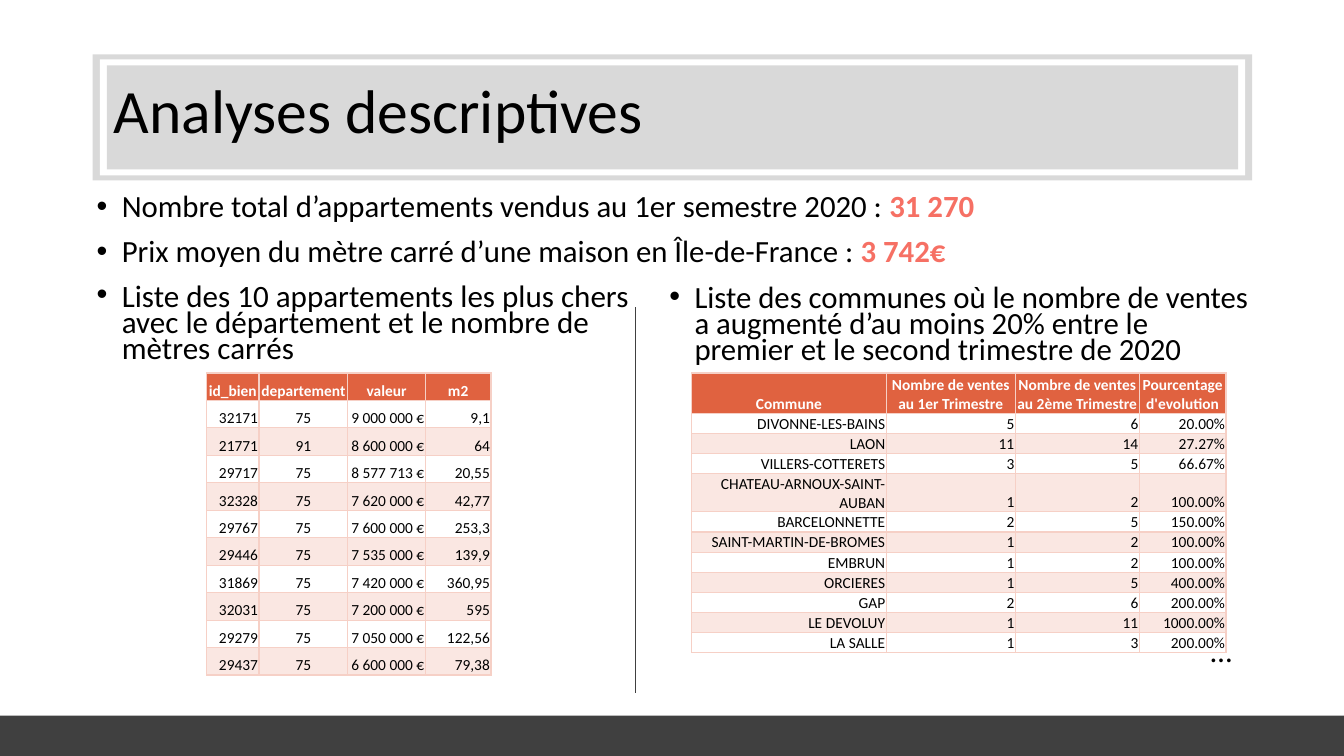
from dataclasses import dataclass

from lxml import etree
from pptx import Presentation
from pptx import util as u
from pptx.dml import color
from pptx.enum import shapes, text
from pptx.oxml import ns


@dataclass(frozen=True)
class Theme:
    font: str = "Calibri"
    ink: str = "000000"
    white: str = "FFFFFF"
    frame: str = "D9D9D9"
    dark: str = "404040"
    accent: str = "F67064"
    header: str = "E06240"
    band: str = "FAE7E2"
    grid: str = "F6D0C6"
    title_size: float = 44
    body_size: float = 22
    table_size: float = 11


THEME = Theme()
ALIGN = {"r": text.PP_ALIGN.RIGHT, "c": text.PP_ALIGN.CENTER}

TOP_SALES = [
    ("32171", "75", 9000000, "9,1"),
    ("21771", "91", 8600000, "64"),
    ("29717", "75", 8577713, "20,55"),
    ("32328", "75", 7620000, "42,77"),
    ("29767", "75", 7600000, "253,3"),
    ("29446", "75", 7535000, "139,9"),
    ("31869", "75", 7420000, "360,95"),
    ("32031", "75", 7200000, "595"),
    ("29279", "75", 7050000, "122,56"),
    ("29437", "75", 6600000, "79,38"),
]
TOWNS = [
    ("DIVONNE-LES-BAINS", "5", "6", "20.00%"),
    ("LAON", "11", "14", "27.27%"),
    ("VILLERS-COTTERETS", "3", "5", "66.67%"),
    ("CHATEAU-ARNOUX-SAINT-AUBAN", "1", "2", "100.00%"),
    ("BARCELONNETTE", "2", "5", "150.00%"),
    ("SAINT-MARTIN-DE-BROMES", "1", "2", "100.00%"),
    ("EMBRUN", "1", "2", "100.00%"),
    ("ORCIERES", "1", "5", "400.00%"),
    ("GAP", "2", "6", "200.00%"),
    ("LE DEVOLUY", "1", "11", "1000.00%"),
    ("LA SALLE", "1", "3", "200.00%"),
]


def rgb(value):
    return color.RGBColor.from_string(value)


def inches(*lengths):
    return [u.Inches(length) for length in lengths]


def euros(amount):
    return f"{amount:,} €".replace(",", " ")


def set_font(font, size, ink=THEME.ink, bold=False):
    font.name, font.size, font.bold = THEME.font, u.Pt(size), bold
    font.color.rgb = rgb(ink)


def add_panel(page, box, fill):
    panel = page.shapes.add_shape(shapes.MSO_SHAPE.RECTANGLE, *inches(*box))
    panel.shadow.inherit = False
    panel.fill.solid()
    panel.fill.fore_color.rgb = rgb(fill)
    panel.line.fill.background()


def add_text(page, box, words, size=THEME.body_size, leading=0.9, before=10):
    frame = page.shapes.add_textbox(*inches(*box)).text_frame
    frame.word_wrap = True
    para = frame.paragraphs[0]
    para.line_spacing, para.space_before = leading, u.Pt(before)
    set_font(para.font, size)
    para.add_run().text = words
    return frame


def add_bullet(page, box, words, figure="", size=THEME.body_size, leading=0.9):
    para = add_text(page, box, words, size, leading).paragraphs[0]
    if figure:
        span = para.add_run()
        span.text = figure
        set_font(span.font, size, THEME.accent, True)
    props = para._p.get_or_add_pPr()
    props.set("marL", str(u.Inches(0.25)))
    props.set("indent", str(u.Inches(-0.25)))
    bullet_font = etree.Element(ns.qn("a:buFont"), typeface="Arial")
    bullet = etree.Element(ns.qn("a:buChar"), char="•")
    defaults = props.find(ns.qn("a:defRPr"))
    defaults.addprevious(bullet_font)
    defaults.addprevious(bullet)


def add_title(page, box, words):
    left, top, width, height = box
    for dx, dy, fill in [(0, 0, THEME.frame), (0.07, 0.05, THEME.white), (0.14, 0.11, THEME.frame)]:
        add_panel(page, (left + dx, top + dy, width - 2 * dx, height - 2 * dy), fill)
    title_box = (left + 0.11, top - 0.14, width - 0.11, height + 0.2)
    frame = add_text(page, title_box, words, THEME.title_size, before=0)
    frame.vertical_anchor = text.MSO_ANCHOR.MIDDLE


def add_divider(page, x, top, bottom):
    line = page.shapes.add_connector(shapes.MSO_CONNECTOR.STRAIGHT, *inches(x, top, x, bottom))
    line.line.color.rgb = rgb(THEME.dark)
    line.line.width = u.Pt(1)
    etree.SubElement(line._element.spPr, ns.qn("a:effectLst"))


def add_borders(cell):
    props = cell._tc.get_or_add_tcPr()
    for position, side in enumerate(("a:lnL", "a:lnR", "a:lnT", "a:lnB")):
        edge = etree.Element(ns.qn(side), w=str(u.Pt(1)))
        fill = etree.SubElement(edge, ns.qn("a:solidFill"))
        etree.SubElement(fill, ns.qn("a:srgbClr"), val=THEME.grid)
        props.insert(position, edge)


def fill_cell(cell, words, align, fill, header):
    cell.margin_left = cell.margin_right = cell.margin_top = u.Inches(0.01)
    cell.margin_bottom = 0
    cell.vertical_anchor = text.MSO_ANCHOR.BOTTOM
    if fill:
        cell.fill.solid()
        cell.fill.fore_color.rgb = rgb(fill)
    else:
        cell.fill.background()
    add_borders(cell)
    para = cell.text_frame.paragraphs[0]
    para.alignment = ALIGN[align]
    set_font(para.font, THEME.table_size, THEME.white if header else THEME.ink, header)
    para.add_run().text = words


def add_grid(page, left, top, widths, header_height, row_height, aligns, headings, records):
    rows = [headings, *records]
    height = header_height + row_height * len(records)
    box = inches(left, top, sum(widths), height)
    table = page.shapes.add_table(len(rows), len(widths), *box).table
    table.first_row = table.horz_banding = False
    for column, width in zip(table.columns, widths):
        column.width = u.Inches(width)
    for index, record in enumerate(rows):
        header = index == 0
        table.rows[index].height = u.Inches(header_height if header else row_height)
        fill = THEME.header if header else (None if index % 2 else THEME.band)
        for column, words in enumerate(record):
            align = "c" if header else aligns[column]
            fill_cell(table.cell(index, column), words, align, fill, header)


def add_top_sales(page, left, top):
    add_bullet(page, (left, top, 5.69, 0.97),
               "Liste des 10 appartements les plus chers avec le département et le nombre de mètres carrés",
               size=22.2, leading=0.7)
    records = [(key, area, euros(price), size) for key, area, price, size in TOP_SALES]
    add_grid(page, left + 1.19, top + 0.91, (0.52, 0.88, 0.77, 0.65), 3 / 11, 3 / 11, "rcrr",
             ("id_bien", "departement", "valeur", "m2"), records)


def add_towns(page, left, top):
    add_bullet(page, (left, top, 5.94, 0.9),
               "Liste des communes où le nombre de ventes a augmenté d’au moins 20% "
               "entre le premier et le second trimestre de 2020", leading=0.7)
    add_grid(page, left + 0.32, top + 0.89, (1.93, 1.28, 1.23, 0.86), 0.4, 0.2, "rrrr",
             ("Commune", "Nombre de ventes au 1er Trimestre",
              "Nombre de ventes au 2ème Trimestre", "Pourcentage d'evolution"), TOWNS)
    add_text(page, (left + 5.37, top + 3.51, 0.34, 0.38), "…", leading=0.7)


def main():
    deck = Presentation()
    deck.slide_width, deck.slide_height = inches(13.33, 7.5)
    page = deck.slides.add_slide(deck.slide_layouts[6])
    add_title(page, (0.92, 0.54, 11.5, 1.25), "Analyses descriptives")
    add_panel(page, (0, 7.1, 13.33, 0.4), THEME.dark)
    add_bullet(page, (0.86, 1.85, 12, 0.47),
               "Nombre total d’appartements vendus au 1er semestre 2020 : ", "31 270")
    add_bullet(page, (0.86, 2.29, 12.1, 0.56),
               "Prix moyen du mètre carré d’une maison en Île-de-France : ", "3 742€")
    add_divider(page, 6.3, 3.05, 6.88)
    add_top_sales(page, 0.86, 2.79)
    add_towns(page, 6.54, 2.81)
    deck.save("out.pptx")


if __name__ == "__main__":
    main()
